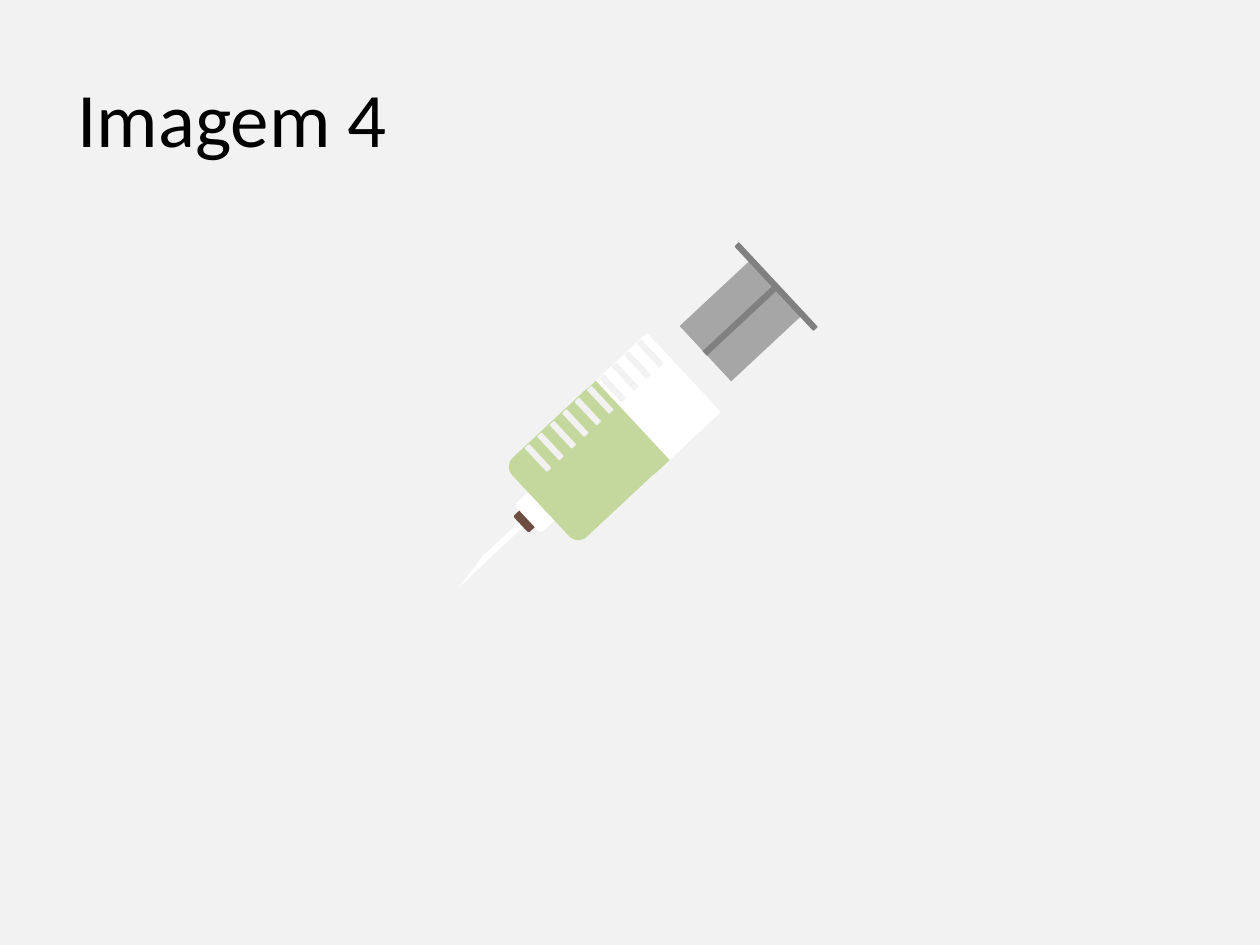
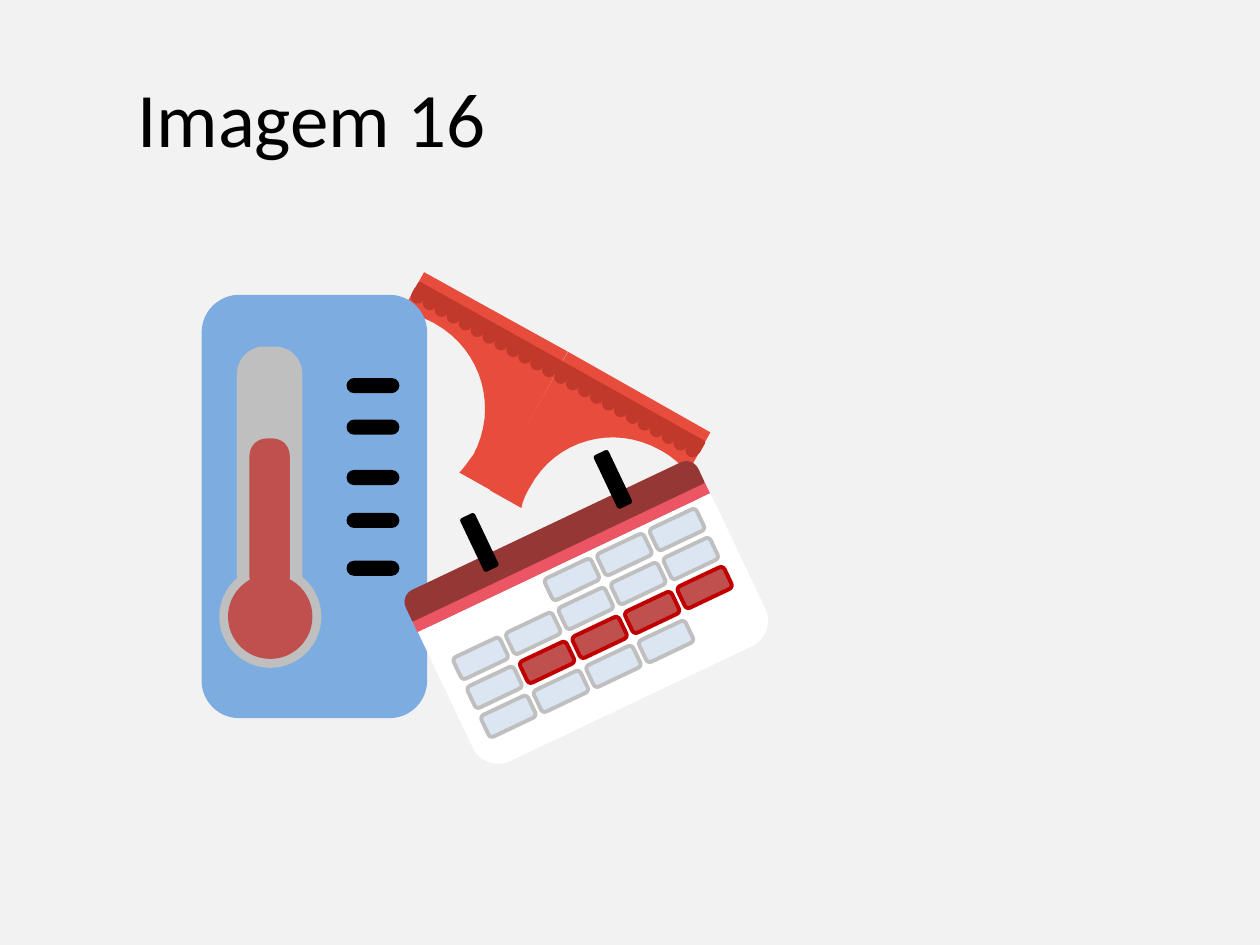
from dataclasses import dataclass
from math import cos, radians, sin
from typing import Iterator, Optional

from pptx import Presentation
from pptx.dml.color import RGBColor
from pptx.enum.shapes import MSO_SHAPE as Kind
from pptx.enum.text import MSO_ANCHOR as Anchor, PP_ALIGN as Align
from pptx.util import Inches, Pt

SLIDE_WIDTH, SLIDE_HEIGHT = Inches(10), Inches(7.5)
COLUMNS, ROWS = 100, 75
COLUMN, ROW = SLIDE_WIDTH / COLUMNS, SLIDE_HEIGHT / ROWS

BACKDROP = RGBColor(0xF2, 0xF2, 0xF2)
BLACK = RGBColor(0x00, 0x00, 0x00)
WHITE = RGBColor(0xFF, 0xFF, 0xFF)
SILVER = RGBColor(0xBF, 0xBF, 0xBF)
PLUNGER_GREY = RGBColor(0xA6, 0xA6, 0xA6)
ROD_GREY = RGBColor(0x80, 0x80, 0x80)
COLLAR_BROWN = RGBColor(0x6D, 0x4C, 0x41)
LIQUID_GREEN = RGBColor(0xC4, 0xD7, 0x9D)
FABRIC_RED = RGBColor(0xE7, 0x4C, 0x3C)
LACE_RED = RGBColor(0xC0, 0x39, 0x2B)
CASE_BLUE = RGBColor(0x7C, 0xAC, 0xE0)
MERCURY_RED = RGBColor(0xC0, 0x50, 0x4D)
HEADER_RED = RGBColor(0x95, 0x37, 0x35)
HEADER_PINK = RGBColor(0xEC, 0x56, 0x64)
DAY_BLUE = RGBColor(0xDC, 0xE6, 0xF2)
MARKED_EDGE = RGBColor(0xC0, 0x00, 0x00)

SYRINGE_TILT = 47
BRIEFS_TILT = 29.2
CALENDAR_TILT = 334.6

Point = tuple[float, float]


@dataclass(frozen=True)
class Part:
    left: float
    top: float
    width: float
    height: float
    fill: RGBColor
    kind: Kind = Kind.ROUNDED_RECTANGLE
    tilt: float = 0
    corner: Optional[float] = None
    edge: Optional[RGBColor] = None


@dataclass(frozen=True)
class Panel:
    centre: Point
    outline: tuple[tuple[float, ...], ...]


def spread(first: Point, last: Point, count: int) -> Iterator[Point]:
    for index in range(count):
        share = index / (count - 1)
        yield tuple(a + (b - a) * share for a, b in zip(first, last))


def finish(shape, fill: RGBColor, tilt: float, edge: Optional[RGBColor] = None) -> None:
    shape.shadow.inherit = False
    shape.rotation = tilt
    shape.fill.solid()
    shape.fill.fore_color.rgb = fill
    if edge is None:
        shape.line.fill.background()
    else:
        shape.line.color.rgb = edge
        shape.line.width = Pt(2.25)


def draw_part(group, part: Part) -> None:
    shape = group.shapes.add_shape(
        part.kind, round(part.left * COLUMN), round(part.top * ROW),
        round(part.width * COLUMN), round(part.height * ROW))
    if part.corner is not None:
        shape.adjustments[0] = part.corner
    finish(shape, part.fill, part.tilt, part.edge)


def draw_parts(slide, parts: list[Part]) -> None:
    group = slide.shapes.add_group_shape()
    for part in parts:
        draw_part(group, part)


def flatten(outline: tuple[tuple[float, ...], ...], steps: int = 16) -> list[Point]:
    points = [outline[0]]
    for segment in outline[1:]:
        if len(segment) == 2:
            points.append(segment)
            continue
        controls = [points[-1], segment[:2], segment[2:4], segment[4:]]
        for step in range(1, steps + 1):
            t = step / steps
            weights = ((1 - t) ** 3, 3 * t * (1 - t) ** 2, 3 * t * t * (1 - t), t ** 3)
            points.append(tuple(
                sum(w * c[axis] for w, c in zip(weights, controls)) for axis in (0, 1)))
    return points


def level(point: Point, centre: Point, tilt: float) -> Point:
    dx, dy = point[0] - centre[0], point[1] - centre[1]
    turn = radians(tilt)
    return (round((centre[0] + dx * cos(turn) + dy * sin(turn)) * COLUMN),
            round((centre[1] - dx * sin(turn) + dy * cos(turn)) * ROW))


def draw_panel(group, panel: Panel) -> None:
    start, *rest = [level(p, panel.centre, BRIEFS_TILT) for p in flatten(panel.outline)]
    builder = group.shapes.build_freeform(*start)
    builder.add_line_segments(rest, close=True)
    finish(builder.convert_to_shape(), FABRIC_RED, BRIEFS_TILT)


def add_text(slide, text: str, *, left: float, top: float, width: float, height: float,
             size: float = 44, font: str = "Calibri", color: RGBColor = BLACK,
             align: Align = Align.CENTER, anchor: Anchor = Anchor.MIDDLE) -> None:
    box = slide.shapes.add_textbox(
        round(left * COLUMN), round(top * ROW), round(width * COLUMN), round(height * ROW))
    frame = box.text_frame
    frame.word_wrap = True
    frame.vertical_anchor = anchor
    paragraph = frame.paragraphs[0]
    paragraph.alignment = align
    run = paragraph.add_run()
    run.text = text
    run.font.size = Pt(size)
    run.font.name = font
    run.font.color.rgb = color


def add_titled_slide(deck, title: str, title_width: float):
    slide = deck.slides.add_slide(deck.slide_layouts[6])
    slide.background.fill.solid()
    slide.background.fill.fore_color.rgb = BACKDROP
    add_text(slide, title, left=5, top=3, width=title_width, height=12.5)
    return slide


def draw_syringe(slide) -> None:
    tilt = SYRINGE_TILT
    needle = Part(39.8, 40.6, 0.5, 4.5, WHITE, Kind.RECTANGLE, tilt)
    needle_tip = Part(37.1, 43.9, 0.5, 3, WHITE, Kind.RIGHT_TRIANGLE, tilt + 180)
    barrel = [
        Part(40.8, 40.8, 1.8, 1, COLLAR_BROWN, tilt=tilt),
        Part(41, 39.6, 3.1, 1.9, WHITE, tilt=tilt),
        Part(44.8, 26, 8.6, 16.8, WHITE, tilt=tilt),
        Part(45.3, 33.1, 8.6, 1.7, LIQUID_GREEN, Kind.RECTANGLE, tilt),
        Part(42.2, 31.9, 8.6, 9.8, LIQUID_GREEN, tilt=tilt, corner=0.115),
    ]
    plunger = [
        Part(55.8, 21.6, 6, 7.7, PLUNGER_GREY, tilt=tilt, corner=0),
        Part(57, 22.5, 9.2, 0.5, ROD_GREY, tilt=tilt),
        Part(53.8, 25.5, 9.2, 0.5, ROD_GREY, tilt=tilt + 90),
    ]
    barrel_gap = Part(48.9, 27.7, 12.4, 2.2, BACKDROP, tilt=tilt)
    graduations = [Part(left, top, 2.6, 0.5, BACKDROP, tilt=tilt)
                   for left, top in spread((50.3, 27.8), (41.4, 36.1), 10)]
    draw_parts(slide, [needle, *barrel, *plunger, barrel_gap, *graduations, needle_tip])


def draw_briefs(slide) -> None:
    left_panel = Panel((36.35, 30.3), (
        (33.7, 21.6), (45.1, 27.9), (39, 38.9), (36.5, 37.5),
        (36.9, 37.1, 37.2, 36.6, 37.6, 36.1),
        (39.6, 32.4, 38.3, 27.8, 34.6, 25.7),
        (33.7, 25.2, 32.8, 24.9, 31.9, 24.8)))
    right_panel = Panel((47.7, 36.6), (
        (45.1, 27.9), (56.4, 34.3), (54.6, 37.5),
        (54, 36.8, 53.2, 36.1, 52.4, 35.7),
        (48.7, 33.6, 44.1, 34.9, 42.1, 38.6),
        (41.8, 39.1, 41.5, 39.7, 41.4, 40.3),
        (38.9, 38.9)))
    group = slide.shapes.add_group_shape()
    for panel in (left_panel, right_panel):
        draw_panel(group, panel)
    draw_part(group, Part(31.3, 28.6, 26.1, 1.2, LACE_RED, tilt=BRIEFS_TILT))
    for left, top in spread((32.6, 23), (54.4, 35.2), 24):
        draw_part(group, Part(left, top, 1.1, 1.1, LACE_RED,
                              Kind.FLOWCHART_DELAY, BRIEFS_TILT + 90))


def draw_thermometer(slide) -> None:
    body = [
        Part(16, 23.4, 17.9, 33.6, CASE_BLUE),
        Part(18.8, 27.5, 5.2, 22.9, SILVER, corner=0.419),
        Part(17.4, 44.9, 8.1, 8.1, SILVER, Kind.OVAL),
        Part(19.8, 34.8, 3.2, 12.4, MERCURY_RED, corner=0.422),
        Part(18.1, 45.6, 6.7, 6.7, MERCURY_RED, Kind.OVAL),
    ]
    degrees = [Part(27.5, top, 4.2, 1.2, BLACK, corner=0.5)
               for top in (30, 33.3, 37.3, 40.7, 44.5)]
    draw_parts(slide, body + degrees)


def draw_calendar(slide) -> None:
    tilt = CALENDAR_TILT
    sheet = [
        Part(33.9, 41, 25.7, 15.6, WHITE, tilt=tilt, corner=0.144),
        Part(31.2, 41.6, 25.7, 3.2, HEADER_RED, tilt=tilt, corner=0.329),
        Part(31.7, 43.8, 25.7, 0.9, HEADER_PINK, Kind.RECTANGLE, tilt),
    ]
    weeks = (range(2, 5), range(5), range(5), range(4))
    marked_week, marked_from = 2, 1
    days = []
    for week, weekdays in enumerate(weeks):
        for weekday in weekdays:
            marked = week == marked_week and weekday >= marked_from
            days.append(Part(
                35 + 4.17 * weekday + 1.1 * week, 49 - 1.98 * weekday + 2.3 * week,
                4.1, 1.9, MERCURY_RED if marked else DAY_BLUE, tilt=tilt,
                corner=0.167, edge=MARKED_EDGE if marked else SILVER))
    rings = [Part(left, top, 1.3, 4.7, BLACK, tilt=tilt)
             for left, top in ((37.4, 40.7), (48, 35.7))]
    draw_parts(slide, sheet + days + rings)


def main() -> None:
    deck = Presentation()
    deck.slide_width, deck.slide_height = SLIDE_WIDTH, SLIDE_HEIGHT

    syringe_slide = add_titled_slide(deck, "Imagem 4", 26.9)
    draw_syringe(syringe_slide)

    cycle_slide = add_titled_slide(deck, "Imagem 16", 39.5)
    draw_briefs(cycle_slide)
    draw_thermometer(cycle_slide)
    draw_calendar(cycle_slide)

    deck.save("out.pptx")


if __name__ == "__main__":
    main()
